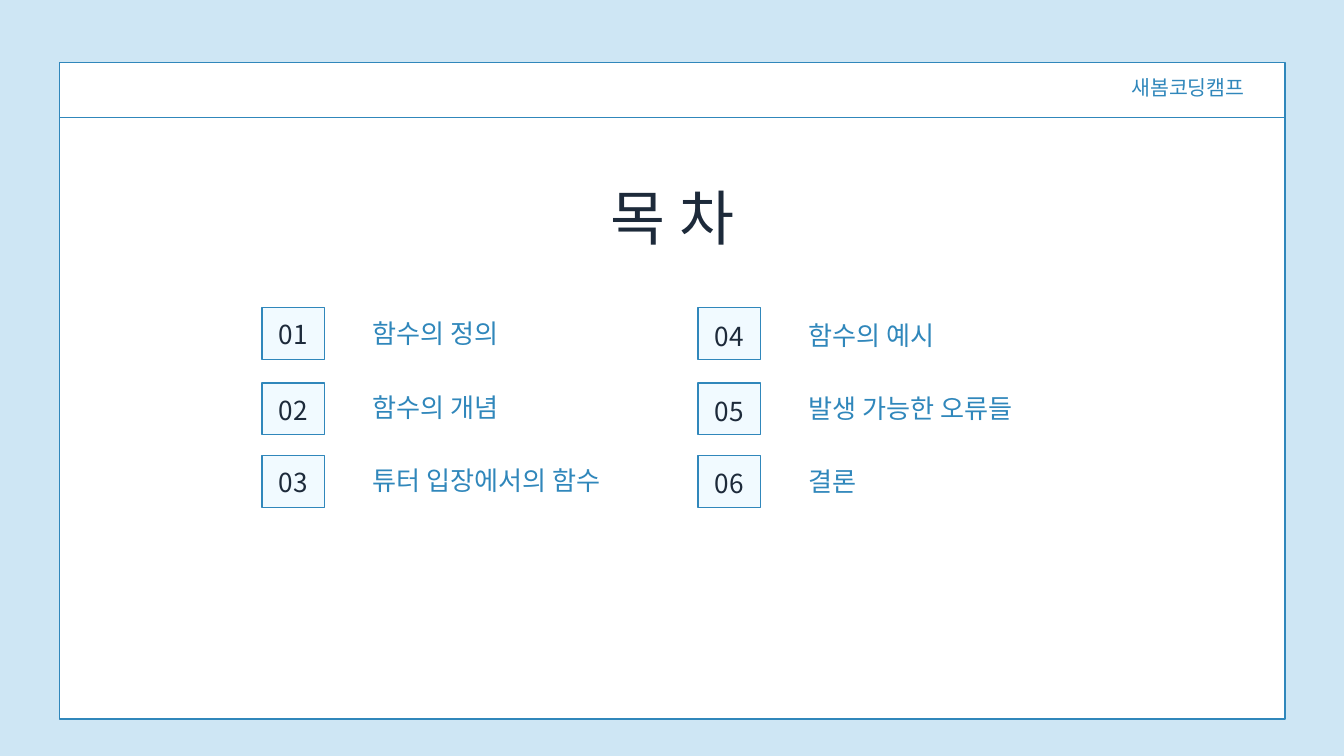
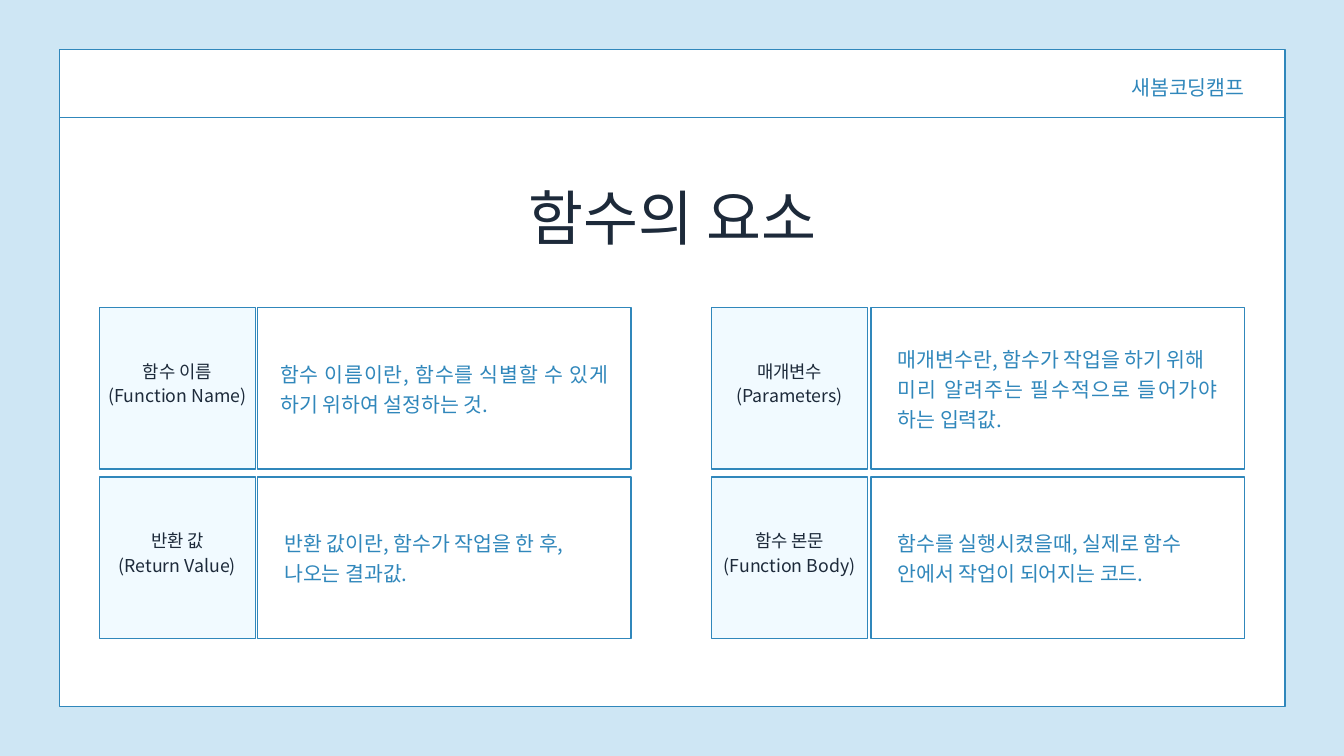
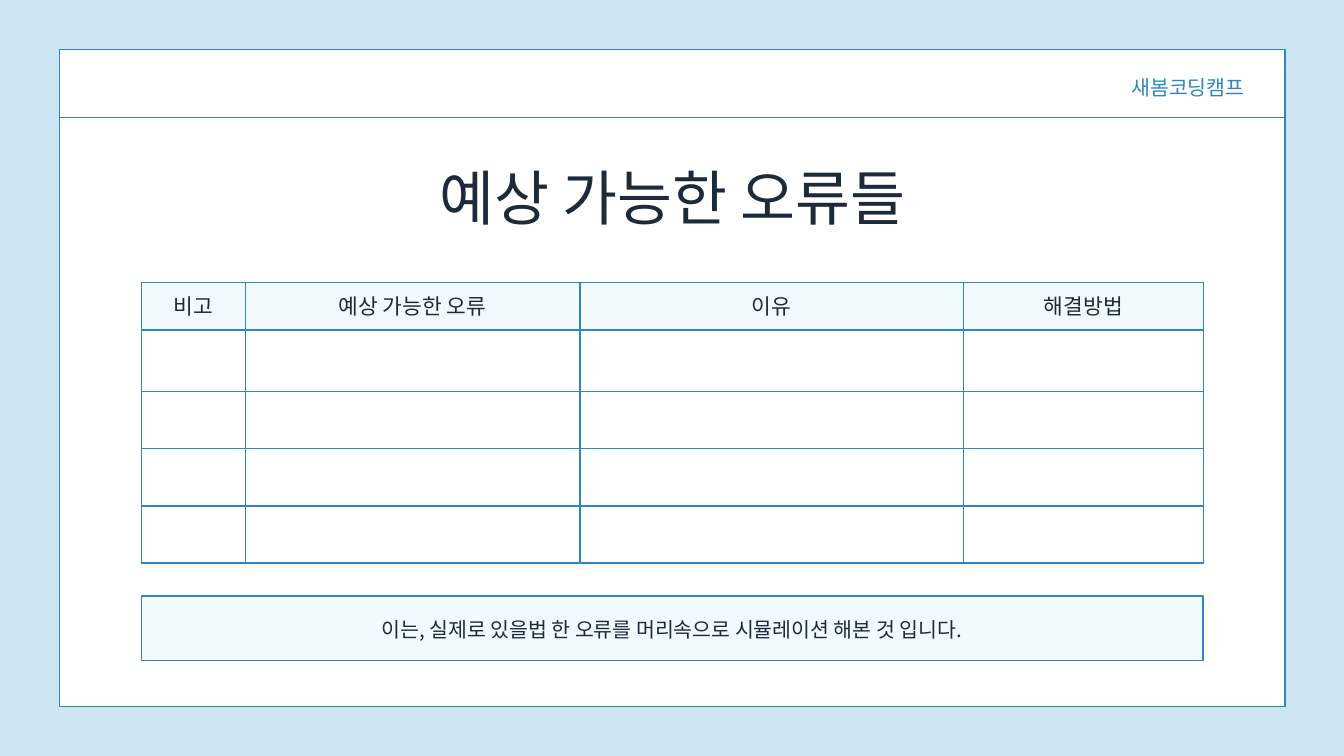
from pptx import Presentation
from pptx.dml.color import RGBColor
from pptx.enum.shapes import MSO_CONNECTOR, MSO_SHAPE
from pptx.enum.text import MSO_ANCHOR, PP_ALIGN
from pptx.util import Inches, Pt
from lxml.etree import SubElement
from pptx.oxml.ns import qn

# Shared style
FONT = "Noto Sans CJK KR"
SKY, BLUE, PALE, WHITE, INK = "CEE6F4", "3087BB", "F1FAFF", "FFFFFF", "1D2A3A"
LINE_W = 1.5
CENTER, LEFT, RIGHT, JUSTIFY = (PP_ALIGN.CENTER, PP_ALIGN.LEFT,
                                PP_ALIGN.RIGHT, PP_ALIGN.JUSTIFY)
HEADER = "새봄코딩캠프"

# Contents slide: one list per column
CONTENTS = [
    ["함수의 정의", "함수의 개념", "튜터 입장에서의 함수"],
    ["함수의 예시", "발생 가능한 오류들", "결론"],
]
BADGE_TOPS = [4.58, 5.7, 6.78]

# Elements slide: column, row, label lines, description paragraphs, side inset
ELEMENTS = [
    (0, 0, ["함수 이름", "(Function Name)"],
     ["함수 이름이란, 함수를 식별할 수 있게 하기 위하여 설정하는 것."], 0.34),
    (0, 1, ["반환 값", "(Return Value)"],
     ["반환 값이란, 함수가 작업을 한 후,", "나오는 결과값."], 0.4),
    (1, 0, ["매개변수", "(Parameters)"],
     ["매개변수란, 함수가 작업을 하기 위해",
      "미리 알려주는 필수적으로 들어가야 하는 입력값."], 0.4),
    (1, 1, ["함수 본문", "(Function Body)"],
     ["함수를 실행시켰을때, 실제로 함수", "안에서 작업이 되어지는 코드."], 0.4),
]
LABEL_LEFTS, DETAIL_LEFTS = [1.48, 10.59], [3.83, 12.96]

# Errors slide
ERROR_HEADS = ["비고", "예상 가능한 오류", "이유", "해결방법"]
ERROR_COLS = [1.54, 4.98, 5.71, 3.57]
ERROR_ROWS = [0.71, 0.92, 0.85, 0.85, 0.85]
ERROR_NOTE = "이는, 실제로 있을법 한 오류를 머리속으로 시뮬레이션 해본 것 입니다."


def rgb(color):
    return RGBColor.from_string(color)


def write(tf, lines, size, color, align, spacing, insets=(0, 0, 0, 0),
          anchor=MSO_ANCHOR.TOP):
    tf.word_wrap = True
    tf.vertical_anchor = anchor
    tf.margin_left, tf.margin_top, tf.margin_right, tf.margin_bottom = map(Inches, insets)
    for i, line in enumerate(lines):
        p = tf.add_paragraph() if i else tf.paragraphs[0]
        p.alignment = align
        p.line_spacing = Pt(spacing)
        r = p.add_run()
        r.text = line
        r.font.size = Pt(size)
        r.font.name = FONT
        r.font.color.rgb = rgb(color)
        SubElement(r.font._element, qn("a:ea"), typeface=FONT)


def add_text(s, x, y, w, h, line, size, color, align, spacing):
    box = s.shapes.add_textbox(Inches(x), Inches(y), Inches(w), Inches(h))
    write(box.text_frame, [line], size, color, align, spacing)


def add_box(s, x, y, w, h, fill):
    sp = s.shapes.add_shape(MSO_SHAPE.RECTANGLE, Inches(x), Inches(y), Inches(w), Inches(h))
    sp.shadow.inherit = False
    sp.fill.solid()
    sp.fill.fore_color.rgb = rgb(fill)
    sp.line.color.rgb = rgb(BLUE)
    sp.line.width = Pt(LINE_W)
    return sp


def add_page(prs, title, title_top=2.51, frame_top=0.74):
    s = prs.slides.add_slide(prs.slide_layouts[6])
    s.background.fill.solid()
    s.background.fill.fore_color.rgb = rgb(SKY)
    add_box(s, 0.89, frame_top, 18.23, 9.77, WHITE)
    rule = s.shapes.add_connector(MSO_CONNECTOR.STRAIGHT, Inches(0.89), Inches(1.75),
                                  Inches(19.11), Inches(1.75))
    rule.line.color.rgb = rgb(BLUE)
    rule.line.width = Pt(LINE_W)
    SubElement(rule._element.spPr, qn("a:effectLst"))
    add_text(s, 14.41, 1.06, 4.11, 0.42, HEADER, 22, BLUE, RIGHT, 30.8)
    add_text(s, 6.05, title_top, 7.91, 1.19, title, 64, INK, CENTER, 89.6)
    return s


def add_borders(cell):
    tcPr = cell._tc.get_or_add_tcPr()
    for side in ("a:lnL", "a:lnR", "a:lnT", "a:lnB"):
        ln = SubElement(tcPr, qn(side), w=str(Pt(LINE_W)))
        SubElement(SubElement(ln, qn("a:solidFill")), qn("a:srgbClr"), val=BLUE)


def contents_slide(prs):
    s = add_page(prs, "목 차", frame_top=0.93)
    for col, topics in enumerate(CONTENTS):
        dx, drop = col * 6.49, col * 0.02
        for row, (topic, top) in enumerate(zip(topics, BADGE_TOPS)):
            badge = add_box(s, 3.9 + dx, top, 0.93, 0.77, PALE)
            number = f"{col * len(topics) + row + 1:02d}"
            write(badge.text_frame, [number], 28, INK, CENTER, 33.6,
                  (0, 0.02 + 2 * drop, 0, 0), MSO_ANCHOR.MIDDLE)
            add_text(s, 5.54 + dx, 4.73 + drop + row * 1.09, 4.25, 0.47,
                     topic, 28, BLUE, LEFT, 33.6)


def elements_slide(prs):
    s = add_page(prs, "함수의 요소")
    for col, row, label, detail, side in ELEMENTS:
        top = 4.58 + row * 2.52
        name = add_box(s, LABEL_LEFTS[col], top, 2.32, 2.4, PALE)
        write(name.text_frame, label, 19, INK, CENTER, 26.6,
              (0.06, 0.06, 0.06, 0.26), MSO_ANCHOR.MIDDLE)
        body = add_box(s, DETAIL_LEFTS[col], top, 5.56, 2.4, WHITE)
        write(body.text_frame, detail, 22, BLUE, JUSTIFY, 31.9,
              (side, 0, side, 0.05), MSO_ANCHOR.MIDDLE)


def errors_slide(prs):
    s = add_page(prs, "예상 가능한 오류들", title_top=2.22)
    add_box(s, 2.11, 8.87, 15.79, 0.96, PALE)
    add_text(s, 3.65, 9.1, 12.69, 0.42, ERROR_NOTE, 22, INK, CENTER, 31.9)
    table = s.shapes.add_table(len(ERROR_ROWS), len(ERROR_COLS), Inches(2.11), Inches(4.2),
                               Inches(sum(ERROR_COLS)), Inches(sum(ERROR_ROWS))).table
    table.first_row = table.horz_banding = False
    for column, width in zip(table.columns, ERROR_COLS):
        column.width = Inches(width)
    for row, height in zip(table.rows, ERROR_ROWS):
        row.height = Inches(height)
    for cell in table.iter_cells():
        add_borders(cell)
        cell.fill.background()
    # Header row
    for cell, head in zip(table.rows[0].cells, ERROR_HEADS):
        cell.fill.solid()
        cell.fill.fore_color.rgb = rgb(PALE)
        cell.vertical_anchor = MSO_ANCHOR.MIDDLE
        cell.margin_left = cell.margin_right = cell.margin_top = cell.margin_bottom = 0
        p = cell.text_frame.paragraphs[0]
        p.alignment = CENTER
        p.line_spacing = Pt(32.2)
        r = p.add_run()
        r.text = head
        r.font.size = Pt(23)
        r.font.name = FONT
        r.font.color.rgb = rgb(INK)
        SubElement(r.font._element, qn("a:ea"), typeface=FONT)


def main():
    prs = Presentation()
    prs.slide_width, prs.slide_height = Inches(20), Inches(11.25)
    contents_slide(prs)
    elements_slide(prs)
    errors_slide(prs)
    prs.save("out.pptx")


if __name__ == "__main__":
    main()
